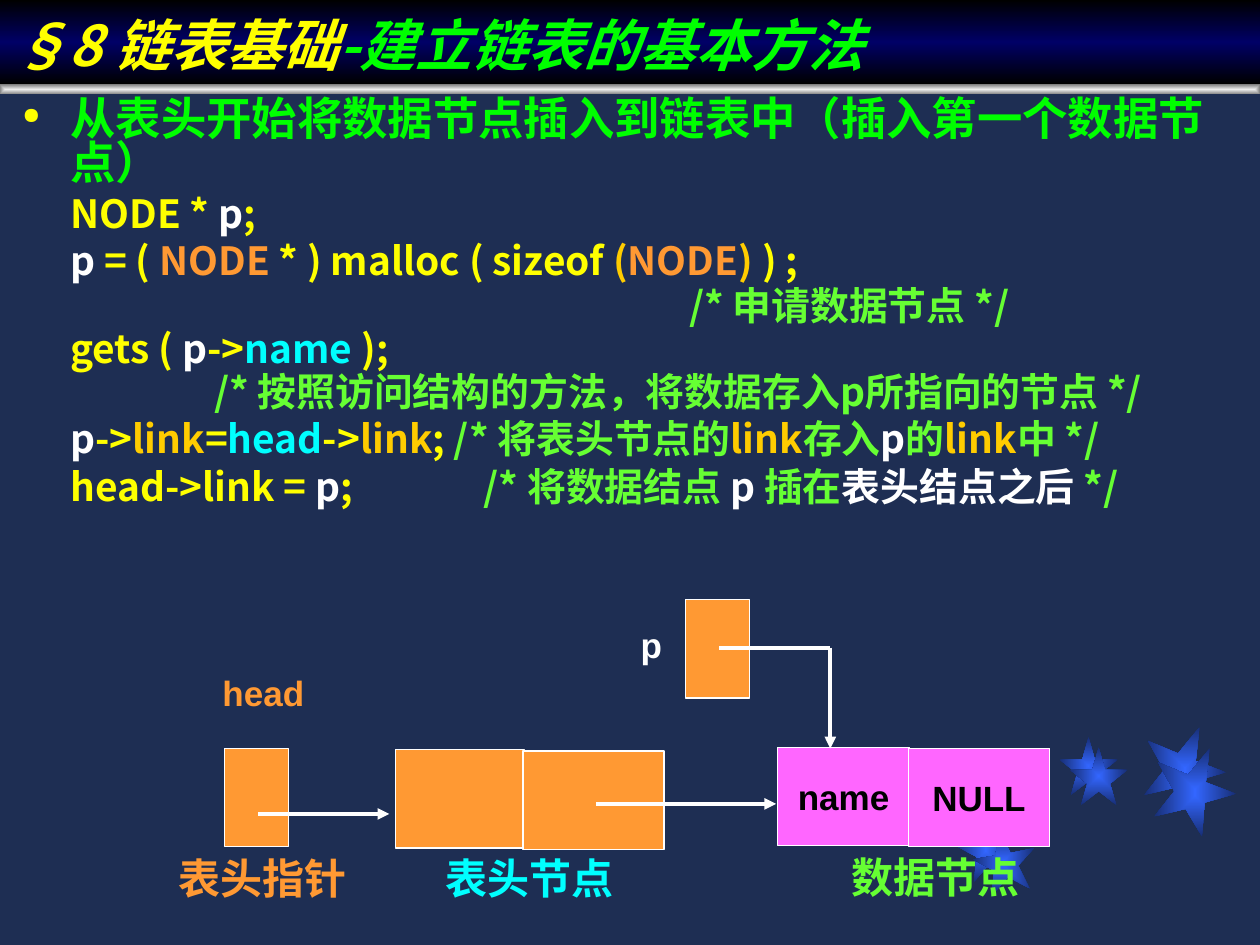
"""Build the slide on inserting the first data node into a linked list."""
from dataclasses import dataclass

from pptx import Presentation
from pptx import util as u
from pptx.dml.color import RGBColor
from pptx.enum import shapes, text
from pptx.oxml import parse_xml
from pptx.oxml.ns import nsdecls, qn


@dataclass(frozen=True)
class Theme:
    background: str = "1E2E53"
    white: str = "FFFFFF"
    black: str = "000000"
    yellow: str = "FFFF00"
    gold: str = "FFCC00"
    orange: str = "FF9933"
    green: str = "00FF00"
    lime: str = "66FF33"
    cyan: str = "00FFFF"
    pink: str = "FF66FF"
    star: tuple = ((0, "3366FF"), (100, "182F76"))
    rule: tuple = ((0, "EDEDED"), (100, "808080"))
    banner: tuple = ((0, "000000"), (50, "000066"), (100, "000000"))
    body_font: str = "Noto Sans CJK SC"
    label_font: str = "Arial"
    title_size: float = 32
    lead_size: float = 25.9
    code_size: float = 22.2
    caption_size: float = 24
    label_size: float = 20
    border: float = 0.75
    arrow: float = 2.25


T = Theme()


def add_run(p, content, *, color, size, font=T.body_font, bold=True, italic=None):
    r = p.add_run()
    r.text = content
    r.font.size = u.Pt(size)
    r.font.bold = bold
    r.font.italic = italic
    r.font.color.rgb = RGBColor.from_string(color)
    r.font.name = font
    r._r.get_or_add_rPr().append(
        parse_xml(f'<a:ea {nsdecls("a")} typeface="{T.body_font}"/>'))


class Builder:
    def __init__(self, s):
        self.s = s
        s.background.fill.solid()
        s.background.fill.fore_color.rgb = RGBColor.from_string(T.background)

    def paint(self, sp, color, line=None):
        sp.shadow.inherit = False
        sp.fill.solid()
        sp.fill.fore_color.rgb = RGBColor.from_string(color)
        if line:
            sp.line.color.rgb = RGBColor.from_string(line)
            sp.line.width = u.Pt(T.border)
        else:
            sp.line.fill.background()

    def gradient(self, sp, stops, angle=None):
        self.paint(sp, stops[0][1])
        marks = "".join(f'<a:gs pos="{pos * 1000}"><a:srgbClr val="{color}"/></a:gs>'
                        for pos, color in stops)
        if angle is None:
            shade = ('<a:path path="rect"><a:fillToRect l="50000" t="50000" '
                     'r="50000" b="50000"/></a:path>')
        else:
            shade = f'<a:lin ang="{angle * 60000}" scaled="0"/>'
        spPr = sp._element.spPr
        spPr.replace(spPr.find(qn("a:solidFill")), parse_xml(
            f'<a:gradFill {nsdecls("a")} rotWithShape="1">'
            f'<a:gsLst>{marks}</a:gsLst>{shade}</a:gradFill>'))

    def rect(self, x, y, w, h):
        return self.s.shapes.add_shape(shapes.MSO_SHAPE.RECTANGLE, *map(u.Inches, (x, y, w, h)))

    def star(self, points, dx=0, dy=0):
        pts = [(u.Inches(x + dx), u.Inches(y + dy)) for x, y in points]
        ff = self.s.shapes.build_freeform(*pts[0])
        ff.add_line_segments(pts[1:], close=True)
        self.gradient(ff.convert_to_shape(), T.star)

    def center(self, sp, content, color, size):
        tf = sp.text_frame
        tf.word_wrap = False
        tf.vertical_anchor = text.MSO_ANCHOR.MIDDLE
        p = tf.paragraphs[0]
        p.alignment = text.PP_ALIGN.CENTER
        add_run(p, content, color=color, size=size, font=T.label_font)

    def cell(self, x, y, w, color, content=None):
        sp = self.rect(x, y, w, 0.78)
        self.paint(sp, color, T.white)
        if content:
            self.center(sp, content, T.black, T.label_size)

    def label(self, x, y, w, content, color, size):
        sp = self.s.shapes.add_textbox(*map(u.Inches, (x, y, w, 0.39)))
        self.center(sp, content, color, size)

    def line(self, x1, y1, x2, y2, head=True):
        cx = self.s.shapes.add_connector(shapes.MSO_CONNECTOR.STRAIGHT,
                                         *map(u.Inches, (x1, y1, x2, y2)))
        cx.line.color.rgb = RGBColor.from_string(T.white)
        cx.line.width = u.Pt(T.arrow)
        if head:
            cx.line._get_or_add_ln().append(
                parse_xml(f'<a:tailEnd {nsdecls("a")} type="triangle"/>'))
        cx._element.spPr.append(parse_xml(f'<a:effectLst {nsdecls("a")}/>'))

    def title(self, runs):
        sp = self.rect(0, 0, 10, 0.67)
        self.gradient(sp, T.banner, 90)
        tf = sp.text_frame
        tf.word_wrap = True
        tf.vertical_anchor = text.MSO_ANCHOR.BOTTOM
        p = tf.paragraphs[0]
        p.alignment = text.PP_ALIGN.LEFT
        for content, color in runs:
            add_run(p, content, color=color, size=T.title_size, italic=True)

    def body(self, lead, code):
        sp = self.s.shapes.add_textbox(*map(u.Inches, (0.08, 0.75, 9.92, 4)))
        tf = sp.text_frame
        tf.word_wrap = True
        p = tf.paragraphs[0]
        p.line_spacing = 0.8
        pPr = p._p.get_or_add_pPr()
        pPr.set("marL", str(u.Inches(0.38)))
        pPr.set("indent", str(-u.Inches(0.38)))
        for xml in (f'<a:buClr {nsdecls("a")}><a:srgbClr val="{T.yellow}"/></a:buClr>',
                    f'<a:buSzPct {nsdecls("a")} val="50000"/>',
                    f'<a:buChar {nsdecls("a")} char="●"/>'):
            pPr.append(parse_xml(xml))
        add_run(p, lead, color=T.green, size=T.lead_size)
        for indent, spacing, runs in code:
            p = tf.add_paragraph()
            p.line_spacing = spacing
            p.space_before = u.Pt(6)
            pPr = p._p.get_or_add_pPr()
            pPr.set("marL", str(u.Inches(indent)))
            pPr.append(parse_xml(f'<a:tabLst {nsdecls("a")}>'
                                 f'<a:tab pos="{u.Inches(3.28)}" algn="l"/></a:tabLst>'))
            for content, color in runs:
                add_run(p, content, color=color, size=T.code_size)


STARS = [
    ([(7.58, 6.71), (7.76, 6.68), (7.79, 6.48), (7.88, 6.66), (8.07, 6.62),
      (7.94, 6.76), (8.03, 6.94), (7.86, 6.85), (7.73, 7), (7.75, 6.8)], 0.14, 0.11),
    ([(8.41, 6.03), (8.59, 6.03), (8.64, 5.85), (8.69, 6.03), (8.87, 6.03),
      (8.73, 6.14), (8.78, 6.31), (8.64, 6.2), (8.5, 6.31), (8.55, 6.14)], 0.08, 0.08),
    ([(9.11, 5.88), (9.35, 5.98), (9.52, 5.77), (9.49, 6.04), (9.73, 6.13),
      (9.48, 6.2), (9.46, 6.47), (9.33, 6.25), (9.08, 6.31), (9.24, 6.11)], 0.08, 0.17),
]
CODE = [
    (0.38, 0.8, [("NODE * ", T.yellow), ("p", T.white), (";", T.yellow)]),
    (0.38, 0.8, [("p", T.white), (" = ( ", T.yellow), ("NODE", T.orange),
                 (" * ) malloc ( sizeof ", T.yellow), ("(", T.gold), ("NODE", T.orange),
                 (")", T.gold), (" ) ;", T.yellow)]),
    (5.29, 0.7, [("/* 申请数据节点 */", T.lime)]),
    (0.38, 0.7, [("gets ( ", T.yellow), ("p", T.white), ("->", T.yellow),
                 ("name", T.cyan), (" );", T.yellow)]),
    (1.52, 0.7, [("/* 按照访问结构的方法，将数据存入p所指向的节点 */", T.lime)]),
    (0.38, 0.8, [("p", T.white), ("->", T.yellow), ("link", T.gold), ("=", T.yellow),
                 ("head", T.cyan), ("->", T.yellow), ("link", T.gold), ("; ", T.yellow),
                 ("/* 将表头节点的", T.lime), ("link", T.gold), ("存入", T.lime),
                 ("p", T.white), ("的", T.lime), ("link", T.gold), ("中 */", T.lime)]),
    (0.38, 0.8, [("head->link = ", T.yellow), ("p", T.white), (";\t", T.yellow),
                 ("/* 将数据结点 ", T.lime), ("p ", T.white), ("插在", T.lime),
                 ("表头结点之后 ", T.white), ("*/", T.lime)]),
]


def main():
    prs = Presentation()
    prs.slide_width, prs.slide_height = u.Inches(10), u.Inches(7.5)
    b = Builder(prs.slides.add_slide(prs.slide_layouts[6]))
    for points, dx, dy in STARS:
        b.star(points)
        b.star(points, dx, dy)
    b.gradient(b.rect(0, 0.67, 10, 0.08), T.rule)
    b.title([("§8 链表基础", T.yellow), ("-建立链表的基本方法", T.green)])
    b.body("从表头开始将数据节点插入到链表中（插入第一个数据节点）", CODE)
    for x, y, w, color, content in [
            (1.78, 5.94, 0.51, T.orange, None), (3.14, 5.95, 1.02, T.orange, None),
            (4.15, 5.96, 1.12, T.orange, None), (5.44, 4.76, 0.51, T.orange, None),
            (6.17, 5.93, 1.05, T.pink, "name"), (7.21, 5.94, 1.12, T.pink, "NULL")]:
        b.cell(x, y, w, color, content)
    for x, y, w, content, color, size in [
            (1.16, 6.77, 1.85, "表头指针", T.orange, T.caption_size),
            (3.28, 6.77, 1.85, "表头节点", T.cyan, T.caption_size),
            (6.5, 6.76, 1.85, "数据节点", T.lime, T.caption_size),
            (1.35, 5.3, 1.48, "head", T.orange, T.label_size),
            (4.88, 4.92, 0.58, "p", T.white, T.label_size)]:
        b.label(x, y, w, content, color, size)
    b.line(2.05, 6.46, 3.09, 6.46)
    b.line(4.73, 6.38, 6.16, 6.38)
    b.line(5.71, 5.14, 6.59, 5.14, head=False)
    b.line(6.59, 5.14, 6.59, 5.94)
    prs.save("out.pptx")


if __name__ == "__main__":
    main()
